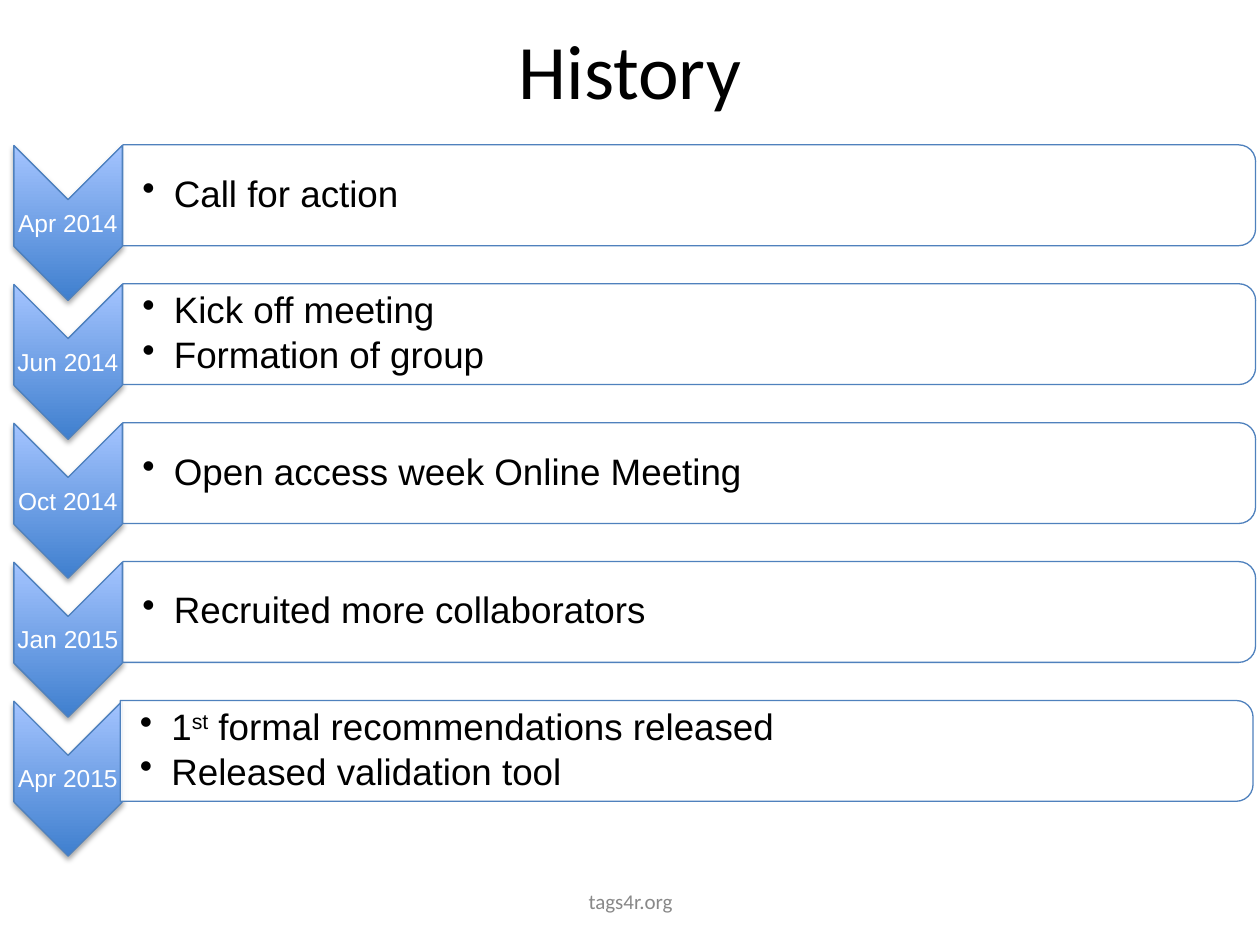
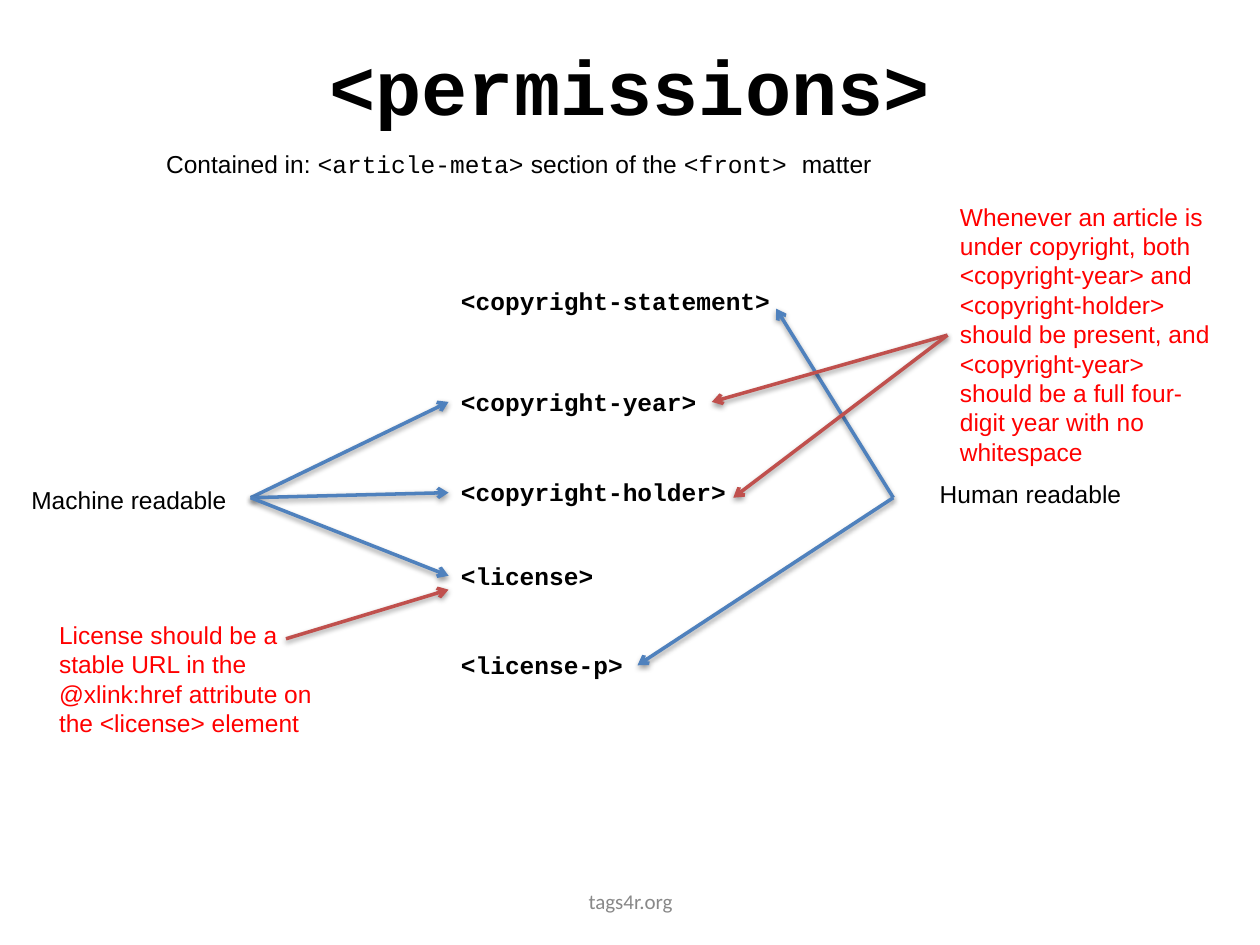
from dataclasses import dataclass

from lxml import etree
from pptx import Presentation, util as u
from pptx.dml.color import RGBColor
from pptx.enum import shapes, text
from pptx.oxml import ns


@dataclass(frozen=True)
class Theme:
    black: str = "000000"
    white: str = "FFFFFF"
    grey: str = "888888"
    blue: str = "4F81BD"
    red: str = "C0504D"
    note: str = "FF0000"
    chevron: tuple = ("3F7FCE", "A4C4FF")
    sans: str = "Arial"
    heading: str = "Calibri"
    code: str = "Courier New"
    title_size: int = 44
    event_size: int = 21
    body_size: int = 14
    footer_size: int = 12


THEME = Theme()
FOOTER = "tags4r.org"

HISTORY = [
    ("Apr 2014", ["Call for action"]),
    ("Jun 2014", ["Kick off meeting", "Formation of group"]),
    ("Oct 2014", ["Open access week Online Meeting"]),
    ("Jan 2015", ["Recruited more collaborators"]),
    ("Apr 2015", [("1", "st", " formal recommendations released"),
                  "Released validation tool"]),
]
FIRST_TOP, LAST_TOP = 1.34, 5.75

TAG_LEFT, LINE_HEIGHT = 3.56, 0.34
TAGS = {
    "<copyright-statement>": (2.22, 2.68),
    "<copyright-year>": (3.02, 2.09),
    "<copyright-holder>": (3.74, 2.32),
    "<license>": (4.4, 1.26),
    "<license-p>": (5.11, 1.5),
}
READERS = {
    "Machine readable": (0.15, 3.8, 1.76, LINE_HEIGHT),
    "Human readable": (7.36, 3.75, 1.65, LINE_HEIGHT),
}
YEAR_NOTE = ("Whenever an article is under copyright, both <copyright-year> and "
             "<copyright-holder> should be present, and <copyright-year> should be "
             "a full four-digit year with no whitespace")
LICENSE_NOTE = ("License should be a stable URL in the @xlink:href attribute on "
                "the <license> element")
NOTES = {
    YEAR_NOTE: (7.52, 1.55, 2.23, 2.22),
    LICENSE_NOTE: (0.37, 4.87, 2.25, 1.04),
}
CONTAINED_IN = [
    ("Contained in: ", THEME.sans), ("<article-meta>", THEME.code),
    (" section of the ", THEME.sans), ("<front> ", THEME.code),
    ("matter", THEME.sans),
]
LEFT, RIGHT = 1, 3
MACHINE, HUMAN = (1.99, 3.95), (7.09, 3.95)
ARROWS = [
    (THEME.blue, MACHINE, ("<copyright-year>", LEFT)),
    (THEME.blue, MACHINE, ("<copyright-holder>", LEFT)),
    (THEME.blue, MACHINE, ("<license>", LEFT)),
    (THEME.blue, HUMAN, (6.16, 2.45)),
    (THEME.blue, HUMAN, ("<license-p>", RIGHT)),
    (THEME.red, (YEAR_NOTE, LEFT), ("<copyright-year>", RIGHT)),
    (THEME.red, (YEAR_NOTE, LEFT), (5.82, 3.95)),
    (THEME.red, (2.27, 5.07), (3.56, 4.68)),
]


def rgb(value):
    return RGBColor.from_string(value)


def child(parent, tag, **attributes):
    return etree.SubElement(parent, ns.qn(tag), **attributes)


def style(font, size, name, color, bold=False):
    font.size, font.name, font.bold = u.Pt(size), name, bold
    font.color.rgb = rgb(color)


def add_text(page, area, paras, size, name, color, bold=False, wrap=True, grow=False,
             middle=False, align=None, insets=(0.1, 0.05, 0.1, 0.05)):
    box = page.shapes.add_textbox(*map(u.Inches, area))
    frame = box.text_frame
    frame.word_wrap = wrap
    if grow:
        frame.auto_size = text.MSO_AUTO_SIZE.SHAPE_TO_FIT_TEXT
    if middle:
        frame.vertical_anchor = text.MSO_ANCHOR.MIDDLE
    (frame.margin_left, frame.margin_top,
     frame.margin_right, frame.margin_bottom) = map(u.Inches, insets)
    for index, spans in enumerate(paras):
        para = frame.add_paragraph() if index else frame.paragraphs[0]
        for words in [spans] if isinstance(spans, str) else spans:
            para.add_run().text = words
        para.alignment = align
        style(para.font, size, name, color, bold)
    return box


def add_shadow(shape, alpha, distance):
    effects = child(shape._element.spPr, "a:effectLst")
    shadow = child(effects, "a:outerShdw", blurRad="40000", dist=str(distance),
                   dir="5400000", rotWithShape="0")
    color = child(shadow, "a:srgbClr", val=THEME.black)
    child(color, "a:alpha", val=str(alpha * 1000))


def add_frame(page, title, name, top, lower_inset, bold=False):
    add_text(page, (0.5, top, 9, 1.25), [title], THEME.title_size, name, THEME.black,
             bold, middle=True, align=text.PP_ALIGN.CENTER,
             insets=(0.1, 0, 0.1, lower_inset))
    add_text(page, (3.42, 6.95, 3.17, 0.4), [FOOTER], THEME.footer_size, THEME.heading,
             THEME.grey, middle=True, align=text.PP_ALIGN.CENTER)


def add_turned(page, kind, center_x, center_y, width, height):
    shape = page.shapes.add_shape(kind, *map(u.Inches, (
        center_x - width / 2, center_y - height / 2, width, height)))
    shape.rotation = 90
    shape.line.color.rgb = rgb(THEME.blue)
    shape.line.width = u.Pt(0.75)
    return shape


def add_chevron(page, top):
    chevron = add_turned(page, shapes.MSO_SHAPE.CHEVRON, 0.54, top + 0.43, 1.23, 0.86)
    chevron.fill.gradient()
    chevron.fill.gradient_angle = 90
    for stop, color, position in zip(chevron.fill.gradient_stops, THEME.chevron, (0, 1)):
        stop.color.rgb, stop.position = rgb(color), position
    chevron._element.spPr.find(ns.qn("a:gradFill")).set("rotWithShape", "0")
    add_shadow(chevron, 35, 23000)


def add_bar(page, center_x, center_y):
    bar = add_turned(page, shapes.MSO_SHAPE.ROUND_2_SAME_RECTANGLE,
                     center_x, center_y, 0.8, 8.99)
    bar.shadow.inherit = False
    bar.fill.solid()
    bar.fill.fore_color.rgb = rgb(THEME.white)
    color = bar._element.spPr.find(ns.qn("a:solidFill"))[0]
    child(color, "a:alpha", val="90000")


def add_bullets(box):
    for para in box.text_frame.paragraphs:
        para.line_spacing, para.space_after = 0.9, u.Pt(3)
        properties = para._p.get_or_add_pPr()
        properties.set("marL", str(u.Inches(0.25)))
        properties.set("indent", str(-u.Inches(0.25)))
        bullet = etree.Element(ns.qn("a:buChar"), char="•")
        properties.find(ns.qn("a:defRPr")).addprevious(bullet)


def add_arrow(page, boxes, color, begin, end):
    points = [(0, 0) if place[0] in boxes else place for place in (begin, end)]
    arrow = page.shapes.add_connector(shapes.MSO_CONNECTOR.STRAIGHT,
                                      *map(u.Inches, points[0] + points[1]))
    for place, connect in ((begin, arrow.begin_connect), (end, arrow.end_connect)):
        if place[0] in boxes:
            connect(boxes[place[0]], place[1])
    arrow.line.color.rgb = rgb(color)
    arrow.line.width = u.Pt(2)
    child(arrow.line._get_or_add_ln(), "a:tailEnd", type="arrow")
    add_shadow(arrow, 38, 20000)


def build_history(page):
    pitch = (LAST_TOP - FIRST_TOP) / (len(HISTORY) - 1)
    for row, (date, events) in enumerate(HISTORY):
        top = FIRST_TOP + row * pitch
        shift = -0.02 if row == len(HISTORY) - 1 else 0
        add_chevron(page, top)
        add_text(page, (0.11, top + 0.24, 0.86, 0.37), [date], THEME.body_size,
                 THEME.sans, THEME.white, middle=True, align=text.PP_ALIGN.CENTER,
                 insets=[0.01] * 4)
        add_bar(page, 5.47 + shift, top + 0.21)
        box = add_text(page, (0.97 + shift, top - 0.15, 8.95, 0.72), events,
                       THEME.event_size, THEME.sans, THEME.black, middle=True,
                       insets=(0.16, 0.01, 0.01, 0.01))
        add_bullets(box)
        for para in box.text_frame.paragraphs:
            for span in para.runs:
                if span.text == "st":
                    span.font._element.set("baseline", "30000")
    add_frame(page, "History", THEME.heading, 0, 0.16)


def build_permissions(page):
    add_frame(page, "<permissions>", THEME.code, 0.3, 0.51, bold=True)
    boxes = {}
    for tag, (top, width) in TAGS.items():
        boxes[tag] = add_text(page, (TAG_LEFT, top, width, LINE_HEIGHT), [tag],
                              THEME.body_size, THEME.code, THEME.black, bold=True,
                              wrap=False, grow=True)
    for label, area in READERS.items():
        add_text(page, area, [label], THEME.body_size, THEME.sans, THEME.black,
                 wrap=False, grow=True)
    for note, area in NOTES.items():
        boxes[note] = add_text(page, area, [note], THEME.body_size, THEME.sans,
                               THEME.note, grow=True)
    for color, begin, end in ARROWS:
        add_arrow(page, boxes, color, begin, end)
    box = add_text(page, (1.22, 1.13, 6.14, LINE_HEIGHT),
                   [[words for words, _ in CONTAINED_IN]], THEME.body_size,
                   THEME.sans, THEME.black, grow=True)
    for span, (_, name) in zip(box.text_frame.paragraphs[0].runs, CONTAINED_IN):
        span.font.name = name


def main():
    deck = Presentation()
    deck.slide_width, deck.slide_height = u.Inches(10), u.Inches(7.5)
    for build in (build_history, build_permissions):
        build(deck.slides.add_slide(deck.slide_layouts[6]))
    deck.save("out.pptx")


if __name__ == "__main__":
    main()
